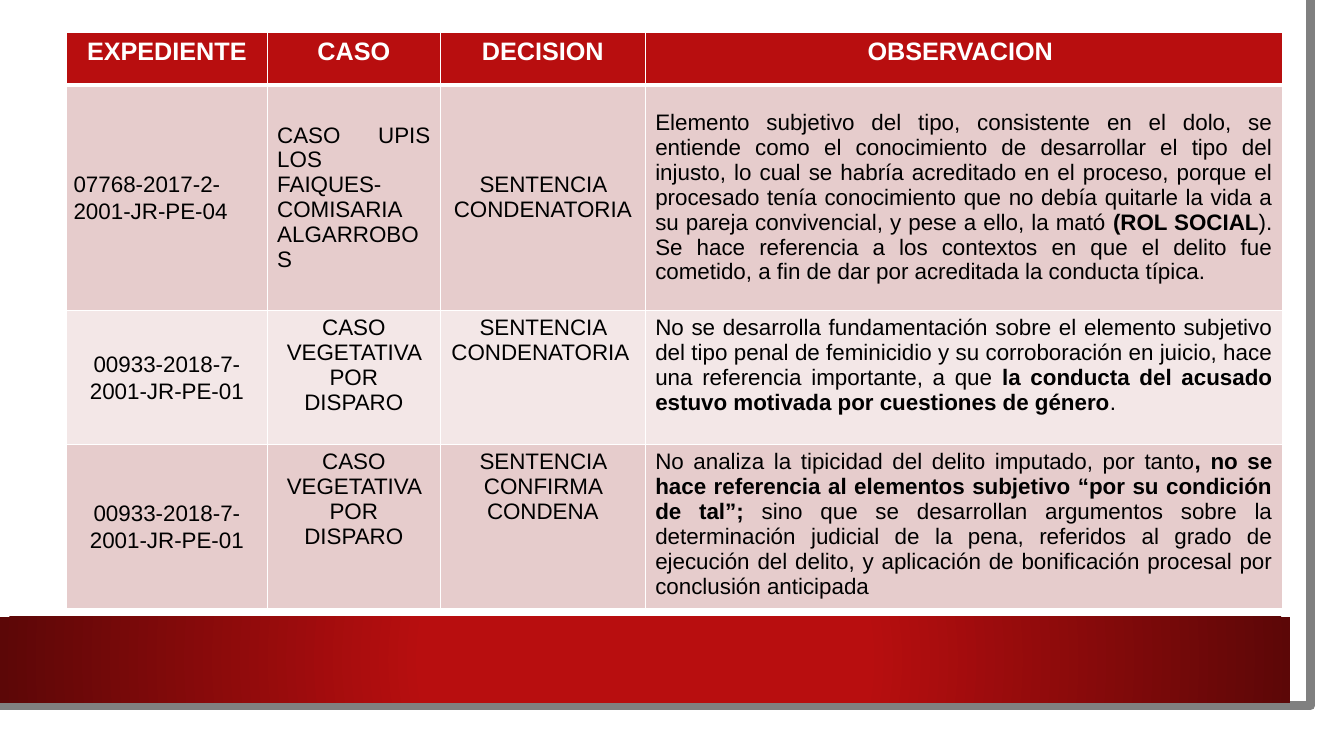
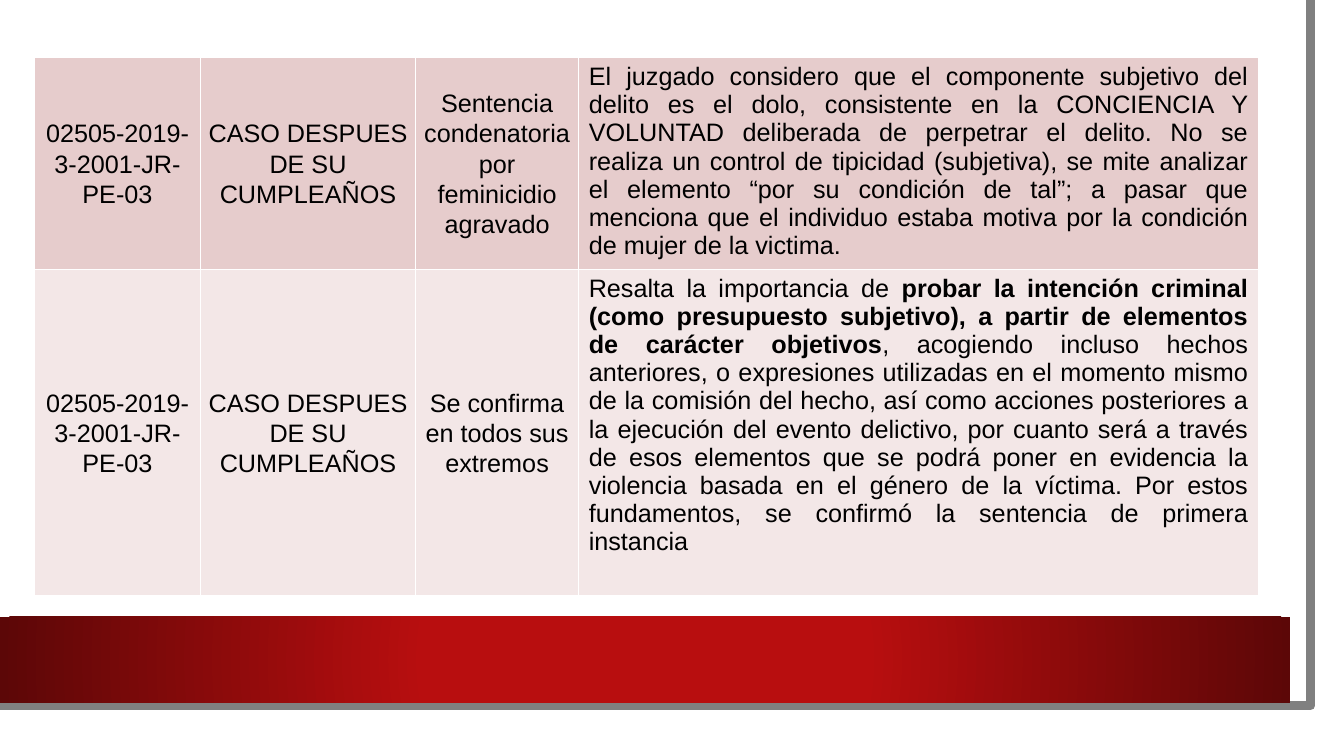
from collections import namedtuple

from lxml import etree
from pptx import Presentation
from pptx.dml.color import RGBColor
from pptx.enum.shapes import MSO_SHAPE
from pptx.enum.text import MSO_ANCHOR, PP_ALIGN
from pptx.oxml import parse_xml
from pptx.util import Inches, Pt

RECTANGLE = MSO_SHAPE.RECTANGLE
TOP, MIDDLE = MSO_ANCHOR.TOP, MSO_ANCHOR.MIDDLE
CENTER, JUSTIFY = PP_ALIGN.CENTER, PP_ALIGN.JUSTIFY

SLIDE_WIDTH, SLIDE_HEIGHT = 13.33, 7.5
FONT = "Arial"
WHITE, BLACK, GREY = "FFFFFF", "000000", "808080"
RED, DARK_RED = "B80E0F", "5C0707"
BANDS = ("E6CCCC", "F3E7E7")
DRAWING_NS = "http://schemas.openxmlformats.org/drawingml/2006/main"
BLANK_LAYOUT = 6

CellStyle = namedtuple("CellStyle", "align anchor spaced")
HEADING = CellStyle(CENTER, TOP, False)
CENTERED = CellStyle(CENTER, MIDDLE, False)
PROSE = CellStyle(JUSTIFY, TOP, False)
PROSE_MIDDLE = CellStyle(JUSTIFY, MIDDLE, False)
SPACED = CellStyle(CENTER, MIDDLE, True)
SPACED_JUSTIFIED = CellStyle(JUSTIFY, MIDDLE, True)

HEADINGS = ("EXPEDIENTE", "CASO", "DECISION", "OBSERVACION ")

SHOOTING_FILE = ("00933-2018-7-2001-JR-PE-01", SPACED)
SHOOTING_CASE = ("CASO VEGETATIVA POR DISPARO", HEADING)
BIRTHDAY_FILE = ("02505-2019-3-2001-JR-PE-03", SPACED)
BIRTHDAY_CASE = ("CASO DESPUES DE SU CUMPLEAÑOS", SPACED)

FIRST_RULINGS = (
    (
        ("07768-2017-2-2001-JR-PE-04", SPACED_JUSTIFIED),
        ("CASO UPIS LOS FAIQUES- COMISARIA ALGARROBOS", PROSE_MIDDLE),
        ("SENTENCIA CONDENATORIA", CENTERED),
        ((
            "Elemento subjetivo del tipo, consistente en el dolo, se entiende como el "
            "conocimiento de desarrollar el tipo del injusto, lo cual se habría acreditado "
            "en el proceso, porque el procesado tenía conocimiento que no debía quitarle la "
            "vida a su pareja convivencial, y pese a ello, la mató ",
            "(ROL SOCIAL",
            "). Se hace referencia a los contextos en que el delito fue cometido, a fin de "
            "dar por acreditada la conducta típica. ",
        ), PROSE_MIDDLE),
    ),
    (
        SHOOTING_FILE,
        SHOOTING_CASE,
        ("SENTENCIA CONDENATORIA ", HEADING),
        ((
            "No se desarrolla fundamentación sobre el elemento subjetivo del tipo penal de "
            "feminicidio y su corroboración en juicio, hace una referencia importante, a que ",
            "la conducta del acusado estuvo motivada por cuestiones de género",
            ".",
        ), PROSE),
    ),
    (
        SHOOTING_FILE,
        SHOOTING_CASE,
        ("SENTENCIA CONFIRMA CONDENA", HEADING),
        ((
            "No analiza la tipicidad del delito imputado, por tanto",
            ", no se hace referencia al elementos subjetivo “por su condición de tal”;",
            " sino que se desarrollan argumentos sobre la determinación judicial de la pena, "
            "referidos al grado de ejecución del delito, y aplicación de bonificación "
            "procesal por conclusión anticipada",
        ), PROSE),
    ),
)

SECOND_RULINGS = (
    (
        BIRTHDAY_FILE,
        BIRTHDAY_CASE,
        ("Sentencia condenatoria por feminicidio agravado", SPACED),
        (
            "El juzgado considero que el componente subjetivo del delito es el dolo, "
            "consistente en la CONCIENCIA Y VOLUNTAD deliberada de perpetrar el delito. No "
            "se realiza un control de tipicidad (subjetiva), se mite analizar el elemento "
            "“por su condición de tal”; a pasar que menciona que el individuo estaba motiva "
            "por la condición de mujer de la victima. ",
            PROSE,
        ),
    ),
    (
        BIRTHDAY_FILE,
        BIRTHDAY_CASE,
        ("Se confirma en todos sus extremos", SPACED),
        ((
            "Resalta la importancia de ",
            "probar la intención criminal (como presupuesto subjetivo), a partir de "
            "elementos de carácter objetivos",
            ", acogiendo incluso hechos anteriores, o expresiones utilizadas en el momento "
            "mismo de la comisión del hecho, así como acciones posteriores a la ejecución "
            "del evento delictivo, por cuanto será a través de esos elementos que se podrá "
            "poner en evidencia la violencia basada en el género de la víctima. Por estos "
            "fundamentos, se confirmó la sentencia de primera instancia",
        ), PROSE),
    ),
)


def color(value):
    """Turn a hex string into a colour."""
    return RGBColor.from_string(value)


def paint(target, value):
    """Give a shape or cell a solid fill."""
    target.fill.solid()
    target.fill.fore_color.rgb = color(value)


def add_rectangle(page, left, top, width, height):
    """Add a white rectangle without line or shadow."""
    box = page.shapes.add_shape(
        RECTANGLE, Inches(left), Inches(top), Inches(width), Inches(height))
    box.shadow.inherit = False
    box.line.fill.background()
    paint(box, WHITE)
    return box


def add_radial_gradient(box, inner, outer, start):
    """Replace a solid fill by a gradient that grows from the centre."""
    gradient = parse_xml(
        f'<a:gradFill xmlns:a="{DRAWING_NS}" rotWithShape="1"><a:gsLst>'
        f'<a:gs pos="{start * 1000}"><a:srgbClr val="{inner}"/></a:gs>'
        f'<a:gs pos="100000"><a:srgbClr val="{outer}"/></a:gs></a:gsLst>'
        '<a:path path="circle">'
        '<a:fillToRect l="50000" t="50000" r="50000" b="50000"/>'
        '</a:path></a:gradFill>')
    properties = box.element.spPr
    properties.replace(properties.find(f"{{{DRAWING_NS}}}solidFill"), gradient)


def add_edge(page):
    """Outline the right and bottom edges of the sheet."""
    builder = page.shapes.build_freeform(12.82, 0, scale=Inches(1))
    builder.add_line_segments([(12.85, 7.02), (-0.03, 7.01)], close=False)
    edge = builder.convert_to_shape()
    edge.shadow.inherit = False
    edge.fill.background()
    edge.line.color.rgb = color(GREY)
    edge.line.width = Pt(6.5)
    return edge


def build_frame(page):
    """Draw the sheet, edge and red band, and move them to the shared layout."""
    layout = page.slide_layout
    for holder in list(layout.placeholders):
        layout.shapes.element.remove(holder.element)
    sheet = add_rectangle(page, 0, 0, 13.1, 7.27)
    edge = add_edge(page)
    band = add_rectangle(page, 0, 6.12, 12.8, 0.85)
    add_radial_gradient(band, RED, DARK_RED, 34)
    for shape in (sheet, edge, band):
        layout.shapes.element.append(shape.element)


def set_borders(cell, bottom):
    """Draw white borders, with the bottom one in the given width."""
    properties = cell._tc.get_or_add_tcPr()
    for index, (side, width) in enumerate(
            (("lnL", 1), ("lnR", 1), ("lnT", 1), ("lnB", bottom))):
        line = etree.Element(f"{{{DRAWING_NS}}}{side}", w=str(Pt(width)))
        fill = etree.SubElement(line, f"{{{DRAWING_NS}}}solidFill")
        etree.SubElement(fill, f"{{{DRAWING_NS}}}srgbClr", val=WHITE)
        properties.insert(index, line)


def fill_cell(cell, content, style, size, ink, background):
    """Write a cell; every second part of its content is bold."""
    is_heading = background == RED
    paint(cell, background)
    set_borders(cell, 3 if is_heading else 1)
    cell.vertical_anchor = style.anchor
    para = cell.text_frame.paragraphs[0]
    para.alignment = style.align
    if style.spaced:
        cell.margin_left = cell.margin_right = Inches(0.07)
        cell.margin_top = cell.margin_bottom = 0
        para.line_spacing = 1.07
        para.space_after = Pt(8)
    para.font.name = FONT
    para.font.size = Pt(size)
    para.font.color.rgb = color(ink)
    parts = (content,) if isinstance(content, str) else content
    for index, part in enumerate(parts):
        span = para.add_run()
        span.text = part
        span.font.bold = is_heading or index % 2 == 1


def add_rulings(page, left, top, widths, heights, rulings, size, headings=()):
    """Add a table of rulings with banded rows and an optional heading row."""
    frame = page.shapes.add_table(
        len(heights), len(widths), Inches(left), Inches(top),
        Inches(sum(widths)), Inches(sum(heights)))
    table = frame.table
    table.first_row = bool(headings)
    table.horz_banding = False
    for column, width in zip(table.columns, widths):
        column.width = Inches(width)
    for row, height in zip(table.rows, heights):
        row.height = Inches(height)
    for index, heading in enumerate(headings):
        fill_cell(table.cell(0, index), heading, HEADING, 18, WHITE, RED)
    first = 1 if headings else 0
    for row, ruling in enumerate(rulings):
        for column, (content, style) in enumerate(ruling):
            fill_cell(table.cell(first + row, column), content, style,
                      size, BLACK, BANDS[row % 2])


def main():
    """Build and save the deck."""
    deck = Presentation()
    deck.slide_width = Inches(SLIDE_WIDTH)
    deck.slide_height = Inches(SLIDE_HEIGHT)
    layout = deck.slide_layouts[BLANK_LAYOUT]
    first, second = (deck.slides.add_slide(layout) for _ in range(2))
    build_frame(first)
    add_rulings(first, 0.66, 0.32, (1.99, 1.72, 2.03, 6.32),
                (0.52, 2.24, 1.33, 1.63), FIRST_RULINGS, 16, HEADINGS)
    add_rulings(second, 0.34, 0.57, (1.65, 2.13, 1.62, 6.74),
                (2.1, 3.24), SECOND_RULINGS, 18)
    deck.save("out.pptx")


if __name__ == "__main__":
    main()
